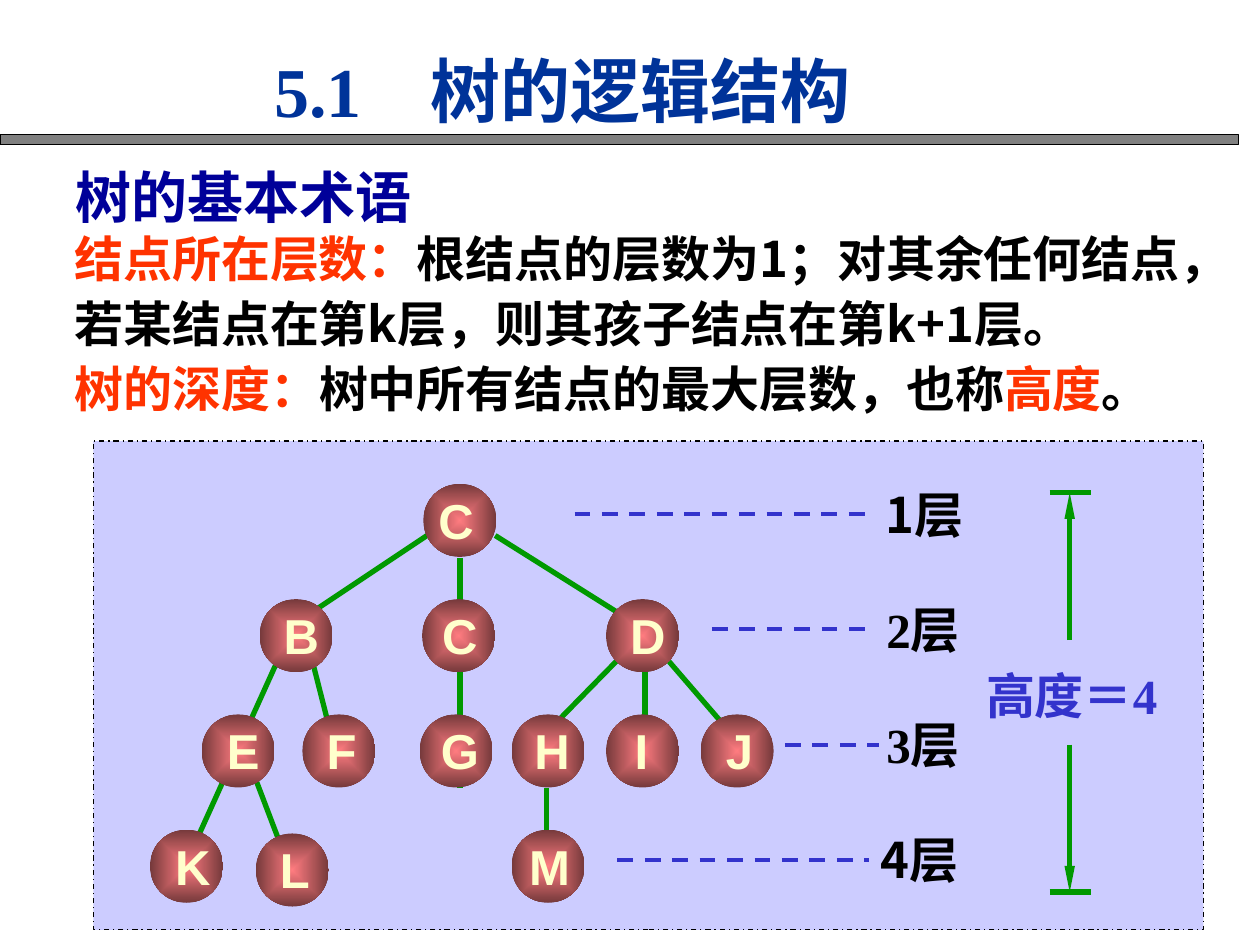
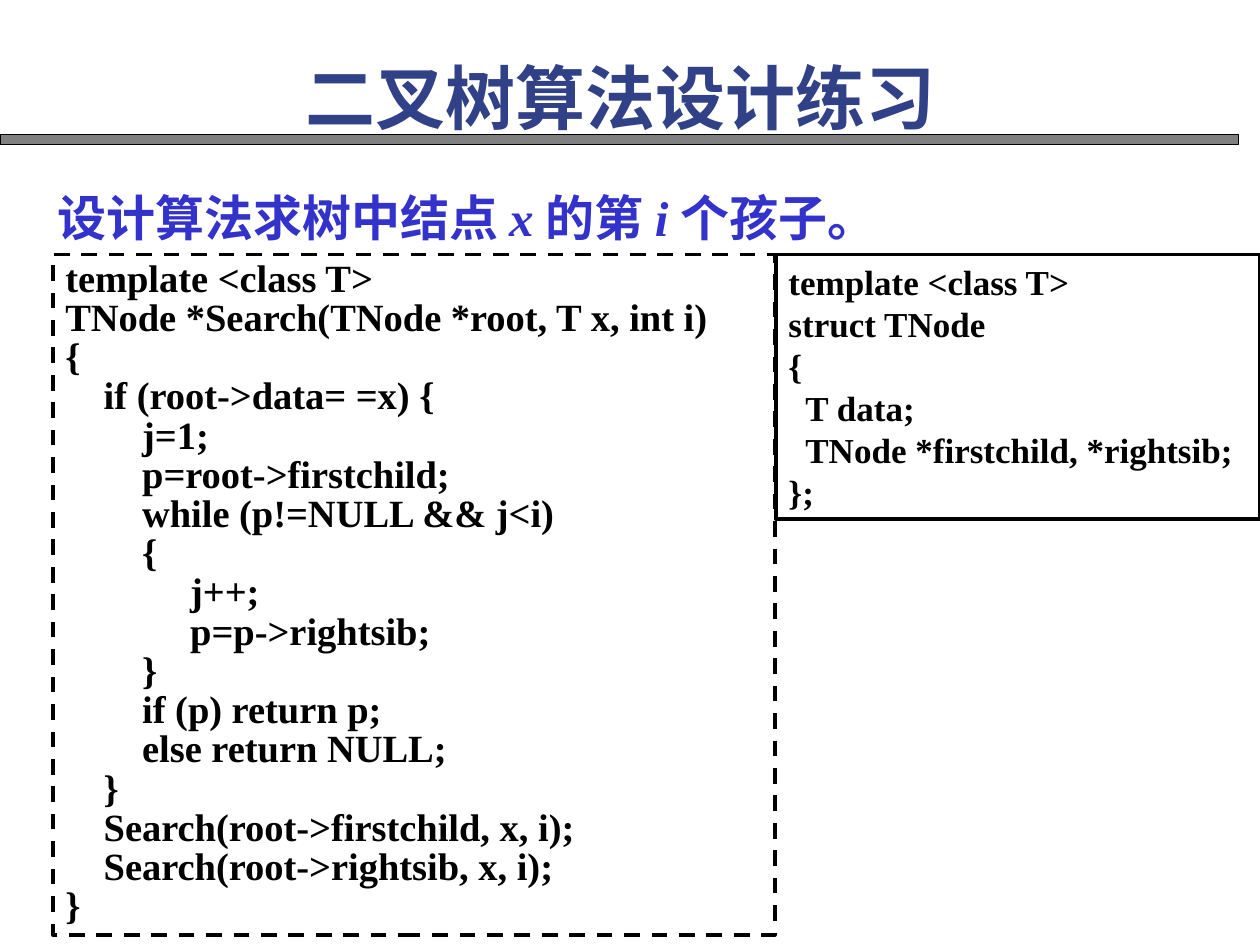
from pptx import Presentation
from pptx.dml.color import RGBColor
from pptx.enum.dml import MSO_LINE
from pptx.enum.shapes import MSO_CONNECTOR, MSO_SHAPE
from pptx.enum.text import MSO_ANCHOR, PP_ALIGN
from pptx.oxml import parse_xml
from pptx.oxml.ns import nsdecls, qn
from pptx.util import Inches, Pt
from lxml import etree

RECT, OVAL = MSO_SHAPE.RECTANGLE, MSO_SHAPE.OVAL
DASH, DASHDOT = MSO_LINE.DASH, MSO_LINE.DASH_DOT
LEFT, MID, JUST = PP_ALIGN.LEFT, PP_ALIGN.CENTER, PP_ALIGN.JUSTIFY
TOP, CENTRE = MSO_ANCHOR.TOP, MSO_ANCHOR.MIDDLE
STRAIGHT = MSO_CONNECTOR.STRAIGHT
TIMES, ARIAL, HAN = "Times New Roman", "Arial", "Noto Sans CJK SC"
HEX = {"black": "000000", "bar": "808080", "panel": "CCCCFF",
       "title": "003399", "title2": "314187", "head": "000099",
       "blue": "3333CC", "red": "FF3300", "green": "009900",
       "cream": "FFFFCC", "rose": "FF7C80", "wine": "75393B"}
RGB = {name: RGBColor.from_string(code) for name, code in HEX.items()}

deck = Presentation()
deck.slide_width, deck.slide_height = Inches(10), Inches(7.5)
# Grid of 100 columns by 75 rows; all places below are in its cells
CELL = deck.slide_width / 100


def text(slide, paras, box, size=28, font=TIMES, color="black", align=LEFT,
         anchor=TOP, wrap=True, space=None, inset=1, tab=None):
    """Each paragraph is a string or a list of (words, changes) runs."""
    shape = slide.shapes.add_textbox(*[round(v * CELL) for v in box])
    frame = shape.text_frame
    frame.word_wrap, frame.vertical_anchor = wrap, anchor
    frame.margin_left = frame.margin_right = round(inset * CELL)
    for i, runs in enumerate(paras):
        para = frame.add_paragraph() if i else frame.paragraphs[0]
        para.alignment, para.line_spacing = align, space
        props = para._p.get_or_add_pPr()
        props.set("hangingPunct", "1")
        if tab:
            stops = etree.SubElement(props, qn("a:tabLst"))
            etree.SubElement(stops, qn("a:tab"), pos=str(round(tab * CELL)), algn="l")
        for words, change in [(runs, {})] if isinstance(runs, str) else runs:
            run = para.add_run()
            run.text = words
            face = run.font
            face.size, face.bold, face.name = Pt(size), True, font
            face.italic = change.get("italic", False)
            face.color.rgb = RGB[change.get("color", color)]
            etree.SubElement(run._r.rPr, qn("a:ea"), typeface=HAN)
    return shape


def line(slide, ends, color, width, dash=None, arrow=False):
    link = slide.shapes.add_connector(STRAIGHT, *[round(v * CELL) for v in ends])
    link.line.color.rgb, link.line.width = RGB[color], Pt(width)
    if dash:
        link.line.dash_style = dash
    if arrow:
        etree.SubElement(link.line._get_or_add_ln(), qn("a:tailEnd"),
                         type="triangle", w="sm", len="lg")
    etree.SubElement(link._element.spPr, qn("a:effectLst"))


blank = deck.slide_layouts[6]
tree, code = [deck.slides.add_slide(blank) for _ in range(2)]

# Bar under both titles, and the panel behind the tree
BAR = (0, 10.7, 98.3, 0.8)
for slide, box, fill, dash in [(tree, BAR, "bar", None), (code, BAR, "bar", None),
                               (tree, (7.4, 35, 88.1, 38.8), "panel", DASHDOT)]:
    rect = slide.shapes.add_shape(RECT, *[round(v * CELL) for v in box])
    rect.shadow.inherit = False
    rect.fill.solid()
    rect.fill.fore_color.rgb = RGB[fill]
    rect.line.color.rgb, rect.line.width = RGB["black"], Pt(0.75)
    if dash:
        rect.line.dash_style = dash

# Titles
for slide, words, box, color in [
        (tree, "5.1\t树的逻辑结构", (20.8, 3.3, 48.3, 7.7), "title"),
        (code, "二叉树算法设计练习", (23.3, 3.8, 59.1, 7.7), "title2")]:
    text(slide, [words], box, size=40, color=color, align=JUST, tab=12.4)

# Slide 1: terms
text(tree, ["树的基本术语"], (5, 12.4, 43.3, 6.4), size=32, font=ARIAL, color="head")
red = {"color": "red"}
text(tree, [
    [("结点所在层数：", red),
     ("根结点的层数为1；对其余任何结点，若某结点在第k层，则其孩子结点在第k+1层。", {})],
    [("树的深度：", red), ("树中所有结点的最大层数，也称", {}),
     ("高度", red), ("。", {})],
], (5.9, 17.2, 94.1, 16.4), font=HAN, space=1.1, inset=0)

# Levels: a dashed guide and a label in each row of the tree
STEP = 9.15
for row, (start, end, mid, font) in enumerate([
        (45.6, 69, 73.35, HAN), (56.5, 69, 73.25, TIMES),
        (62.3, 69.8, 73.25, TIMES), (49, 69, 72.95, HAN)]):
    y = 40.8 + row * STEP
    line(tree, (start, y, end, y), "blue", 2.25, dash=DASH)
    text(tree, [f"{row + 1}层"], (mid - 5.5, y - 2.9, 11, 5.7), font=font,
         align=MID, anchor=CENTRE, wrap=False)

# Height measure
text(tree, ["高度＝4"], (76.8, 53.2, 16.5, 4.8), color="blue", align=MID,
     anchor=CENTRE, wrap=False, space=0.8)
for edge, inner in [(39.1, 50.8), (70.8, 59.1)]:
    line(tree, (83.3, edge, 86.6, edge), "green", 3)
    line(tree, (84.9, inner, 84.9, edge), "green", 3, arrow=True)

# Branches, drawn before the nodes that cover their ends
for ends in [
        (39.3, 42.5, 49.8, 49.1), (33.9, 42.5, 24, 49.1), (36.5, 44.3, 36.5, 62.5),
        (53.1, 52.5, 58.1, 58.3), (48.9, 52.5, 44, 57.5), (51.2, 53.3, 51.2, 57.5),
        (24.8, 52.5, 26.3, 58.4), (22, 52.5, 14.5, 69.1), (20.2, 61.6, 22.1, 66.6),
        (43.4, 62.5, 43.4, 67.5)]:
    line(tree, ends, "green", 3)

# Nodes by row: letter, left edge, shift of the letter from the middle
SIZE = 5.8
GLOW = (f'<a:gradFill {nsdecls("a")}><a:gsLst>'
        f'<a:gs pos="0"><a:srgbClr val="{HEX["rose"]}"/></a:gs>'
        f'<a:gs pos="100000"><a:srgbClr val="{HEX["wine"]}"/></a:gs></a:gsLst>'
        '<a:path path="rect"><a:fillToRect l="50000" t="50000" r="50000" b="50000"/>'
        '</a:path></a:gradFill>')
for row, nodes in enumerate([
        [("C", 33.6, -0.3)],
        [("B", 20.6, 0.4), ("C", 33.5, 0.1), ("D", 48.1, 0.4)],
        [("E", 16, 0.4), ("F", 24, 0.2), ("G", 33.3, 0.3),
         ("H", 40.6, 0.3), ("I", 48.1, -0.1), ("J", 55.6, 0.2)],
        [("K", 11.9, 0.5), ("L", 20.3, 0.2), ("M", 40.6, 0.1)]]):
    for name, x, shift in nodes:
        y = 38.4 + row * STEP + (0.3 if name == "L" else 0)
        ball = tree.shapes.add_shape(OVAL, *[round(v * CELL) for v in (x, y, SIZE, SIZE)])
        ball.shadow.inherit = False
        ball.line.fill.background()
        ball._element.spPr.insert(2, parse_xml(GLOW))
        text(tree, [name], (x + shift, y, SIZE, 5.7), font=ARIAL,
             color="cream", align=MID, anchor=CENTRE, wrap=False)

# Slide 2: task
slant = {"italic": True}
text(code, [[("设计算法求树中结点 ", {}), ("x ", slant), ("的第 ", {}),
             ("i ", slant), ("个孩子。", {})]], (3.6, 14.4, 90.6, 5.7), color="blue")

# Code frames
SEARCH = """template <class T>
TNode *Search(TNode *root, T x, int i)
{
    if (root->data= =x) {
        j=1;
        p=root->firstchild;
        while (p!=NULL && j<i)
        {
             j++;
             p=p->rightsib;
        }
        if (p) return p;
        else return NULL;
    }
    Search(root->firstchild, x, i);
    Search(root->rightsib, x, i);
}"""
STRUCT = """template <class T>
struct TNode
{
  T data;
  TNode *firstchild, *rightsib;
};"""
for words, box, size, space, dash in [
        (SEARCH, (4.2, 20.2, 57.3, 54), 22, 0.85, DASH),
        (STRUCT, (61.6, 20.2, 38.4, 21), 20, None, None)]:
    frame = text(code, words.split("\n"), box, size=size, space=space)
    frame.line.color.rgb, frame.line.width = RGB["black"], Pt(2.25)
    if dash:
        frame.line.dash_style = dash

deck.save("out.pptx")
